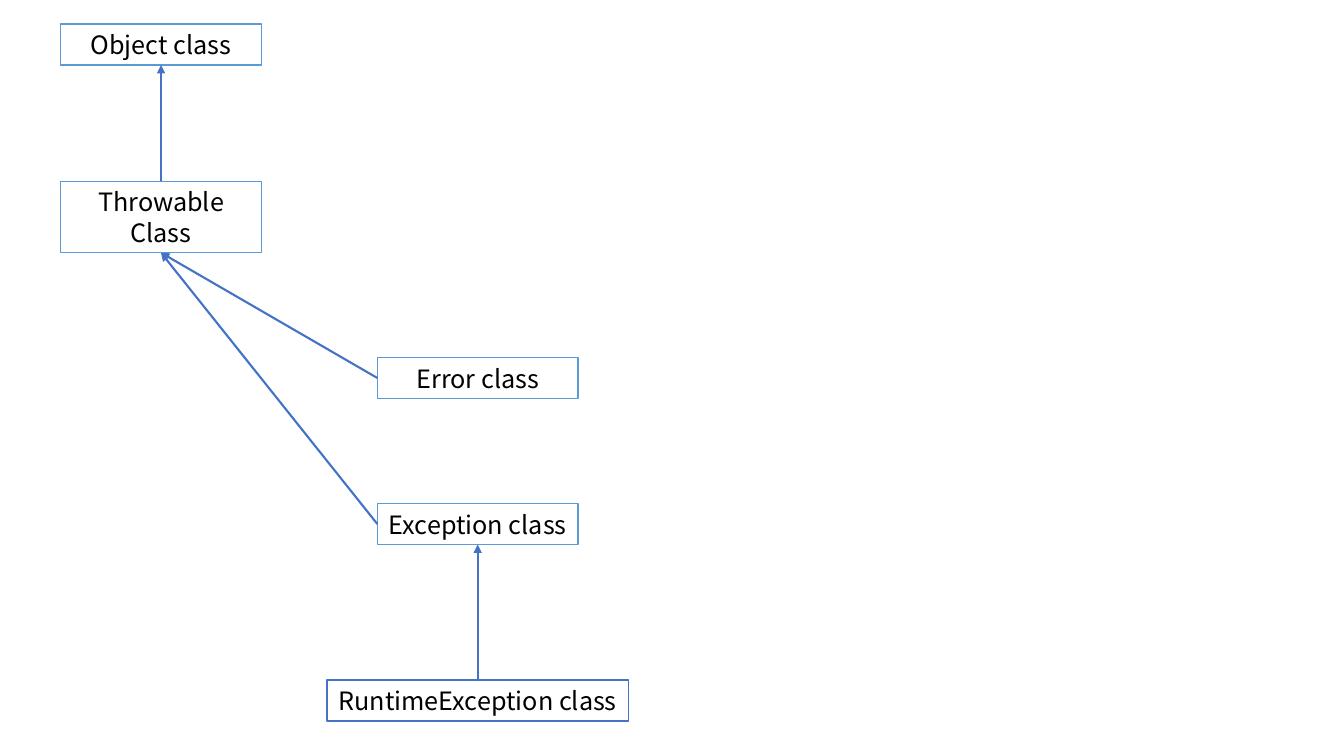
from lxml.etree import SubElement
from pptx import Presentation
from pptx.dml.color import RGBColor
from pptx.enum.shapes import MSO_CONNECTOR, MSO_SHAPE
from pptx.enum.text import MSO_ANCHOR, PP_ALIGN
from pptx.oxml.ns import qn
from pptx.util import Cm, Pt

COLORS = {
    "white": "FFFFFF",
    "black": "000000",
    "light_blue": "5B9BD5",
    "blue": "4472C4",
}
FONT = "Noto Sans CJK KR"
TOP, LEFT, BOTTOM = 0, 1, 2  # connection sites of a rectangle
LEFT_COLUMN, RIGHT_COLUMN = 4.06, 12.04  # column centres in cm


def color(name):
    return RGBColor.from_string(COLORS[name])


def add_class_box(slide, text, center, top, width=5.06, height=1.03, line="light_blue"):
    shape = slide.shapes.add_shape(
        MSO_SHAPE.RECTANGLE, Cm(center - width / 2), Cm(top), Cm(width), Cm(height)
    )
    shape.shadow.inherit = False
    shape.fill.solid()
    shape.fill.fore_color.rgb = color("white")
    shape.line.color.rgb = color(line)
    shape.line.width = Pt(1)

    text_frame = shape.text_frame
    text_frame.word_wrap = True
    text_frame.vertical_anchor = MSO_ANCHOR.MIDDLE
    paragraph = text_frame.paragraphs[0]
    paragraph.alignment = PP_ALIGN.CENTER
    paragraph.line_spacing = Pt(21.6)
    run = paragraph.add_run()
    run.text = text
    run.font.name = FONT
    run.font.size = Pt(18)
    run.font.color.rgb = color("black")
    return shape


def add_inheritance_arrow(slide, child, child_side, parent):
    connector = slide.shapes.add_connector(MSO_CONNECTOR.STRAIGHT, 0, 0, 0, 0)
    connector.begin_connect(child, child_side)
    connector.end_connect(parent, BOTTOM)
    connector.line.color.rgb = color("blue")
    connector.line.width = Pt(1.5)
    # Arrowhead at the parent class, no shadow
    SubElement(connector.line._get_or_add_ln(), qn("a:tailEnd"), type="triangle")
    SubElement(connector._element.spPr, qn("a:effectLst"))


def main():
    presentation = Presentation()
    presentation.slide_width = Cm(33.87)
    presentation.slide_height = Cm(19.05)
    slide = presentation.slides.add_slide(presentation.slide_layouts[6])

    # Classes
    object_class = add_class_box(slide, "Object class", LEFT_COLUMN, 0.61)
    throwable = add_class_box(slide, "Throwable Class", LEFT_COLUMN, 4.57, height=1.8)
    error = add_class_box(slide, "Error class", RIGHT_COLUMN, 9.01)
    exception = add_class_box(slide, "Exception class", RIGHT_COLUMN, 12.69)
    runtime_exception = add_class_box(
        slide, "RuntimeException class", RIGHT_COLUMN, 17.14, width=7.6, line="blue"
    )

    # Inheritance
    add_inheritance_arrow(slide, throwable, TOP, object_class)
    add_inheritance_arrow(slide, error, LEFT, throwable)
    add_inheritance_arrow(slide, exception, LEFT, throwable)
    add_inheritance_arrow(slide, runtime_exception, TOP, exception)

    presentation.save("out.pptx")


if __name__ == "__main__":
    main()
